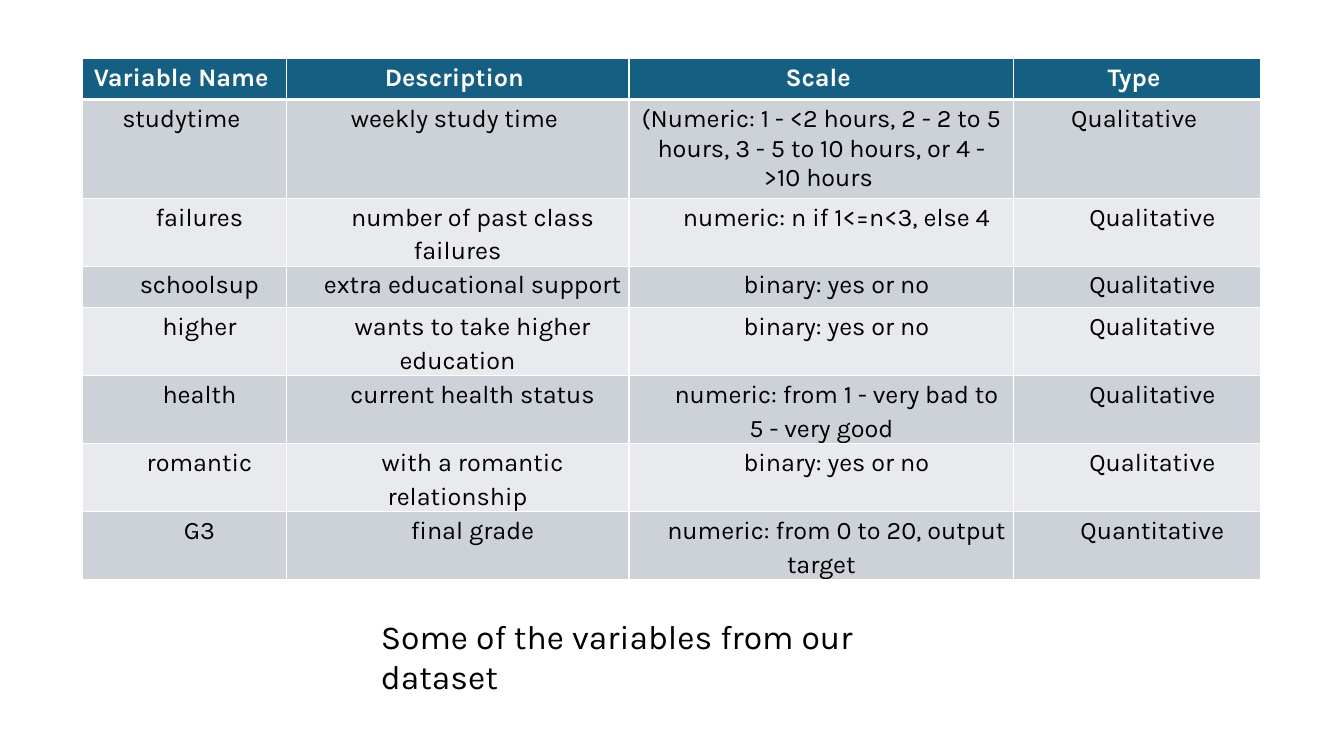
"""Build a slide with a table of dataset variables and a caption."""
from lxml import etree
from pptx import Presentation
from pptx.dml.color import RGBColor
from pptx.enum.text import PP_ALIGN
from pptx.oxml.ns import qn
from pptx.util import Cm, Pt

CENTER, LEFT = PP_ALIGN.CENTER, PP_ALIGN.LEFT
FONT = "Karla"
WHITE, BLACK, TEAL = "FFFFFF", "000000", "156082"
BANDS = ["CCD2D8", "E8EAED"]

ROWS = [
    ("Variable Name ", "Description ", "Scale ", "Type "),
    ("studytime ", "weekly study time ",
     "(Numeric: 1 - <2 hours, 2 - 2 to 5 hours, 3 - 5 to 10 hours, or 4 - >10 hours ",
     "Qualitative "),
    ("failures", "number of past class failures", "numeric: n if 1<=n<3, else 4", "Qualitative"),
    ("schoolsup", "extra educational support", "binary: yes or no", "Qualitative"),
    ("higher", "wants to take higher education", "binary: yes or no", "Qualitative"),
    ("health", "current health status", "numeric: from 1 - very bad to 5 - very good",
     "Qualitative"),
    ("romantic", "with a romantic relationship", "binary: yes or no", "Qualitative"),
    ("G3", "final grade", "numeric: from 0 to 20, output target", "Quantitative"),
]
CAPTION = "Some of the variables from our dataset"
COL_WIDTHS = [5.13, 8.64, 9.7, 6.22]
ROW_HEIGHT, TABLE_HEIGHT = 1.04, 13.16


def rgb(value):
    return RGBColor.from_string(value)


def write(tf, text, size=18, color=BLACK, bold=False, align=LEFT, indent=0, spacing=None, after=None):
    tf.word_wrap = True
    p = tf.paragraphs[0]
    p.alignment = align
    if indent:
        p.line_spacing = spacing
        p.space_after = Pt(after)
        pPr = p._p.get_or_add_pPr()
        pPr.set("marL", "0")
        pPr.set("indent", str(Cm(indent)))
    r = p.add_run()
    r.text = text
    r.font.name, r.font.size, r.font.bold = FONT, Pt(size), bold
    r.font.color.rgb = rgb(color)


def add_borders(cell, widths):
    tcPr = cell._tc.get_or_add_tcPr()
    for side, width in zip("LRTB", widths):
        ln = etree.SubElement(tcPr, qn(f"a:ln{side}"), w=str(Pt(width)))
        fill = etree.SubElement(ln, qn("a:solidFill"))
        etree.SubElement(fill, qn("a:srgbClr"), val=WHITE)


def add_variable_table(s):
    frame = s.shapes.add_table(len(ROWS), len(COL_WIDTHS), Cm(2.08), Cm(1.47),
                               Cm(sum(COL_WIDTHS)), Cm(TABLE_HEIGHT))
    table = frame.table
    for col, width in zip(table.columns, COL_WIDTHS):
        col.width = Cm(width)
    for i, texts in enumerate(ROWS):
        table.rows[i].height = Cm(ROW_HEIGHT)
        header = i == 0
        for j, text in enumerate(texts):
            cell = table.cell(i, j)
            add_borders(cell, (1, 1, 3 if i == 1 else 1, 3 if header else 1))
            cell.fill.solid()
            cell.fill.fore_color.rgb = rgb(TEAL if header else BANDS[(i - 1) % 2])
            layout = {}
            if i > 1:
                cell.margin_left = cell.margin_right = Cm(0.19)
                cell.margin_top = cell.margin_bottom = 0
                layout = {"indent": 0.76, "spacing": 1.15, "after": 8}
            write(cell.text_frame, text, color=WHITE if header else BLACK,
                  bold=header, align=CENTER, **layout)
    frame.height = Cm(TABLE_HEIGHT)


def main():
    prs = Presentation()
    prs.slide_width, prs.slide_height = Cm(33.87), Cm(19.05)
    s = prs.slides.add_slide(prs.slide_layouts[6])
    add_variable_table(s)
    sp = s.shapes.add_textbox(Cm(9.35), Cm(15.39), Cm(15.16), Cm(1.27))
    write(sp.text_frame, CAPTION, size=24)
    prs.save("out.pptx")


if __name__ == "__main__":
    main()
